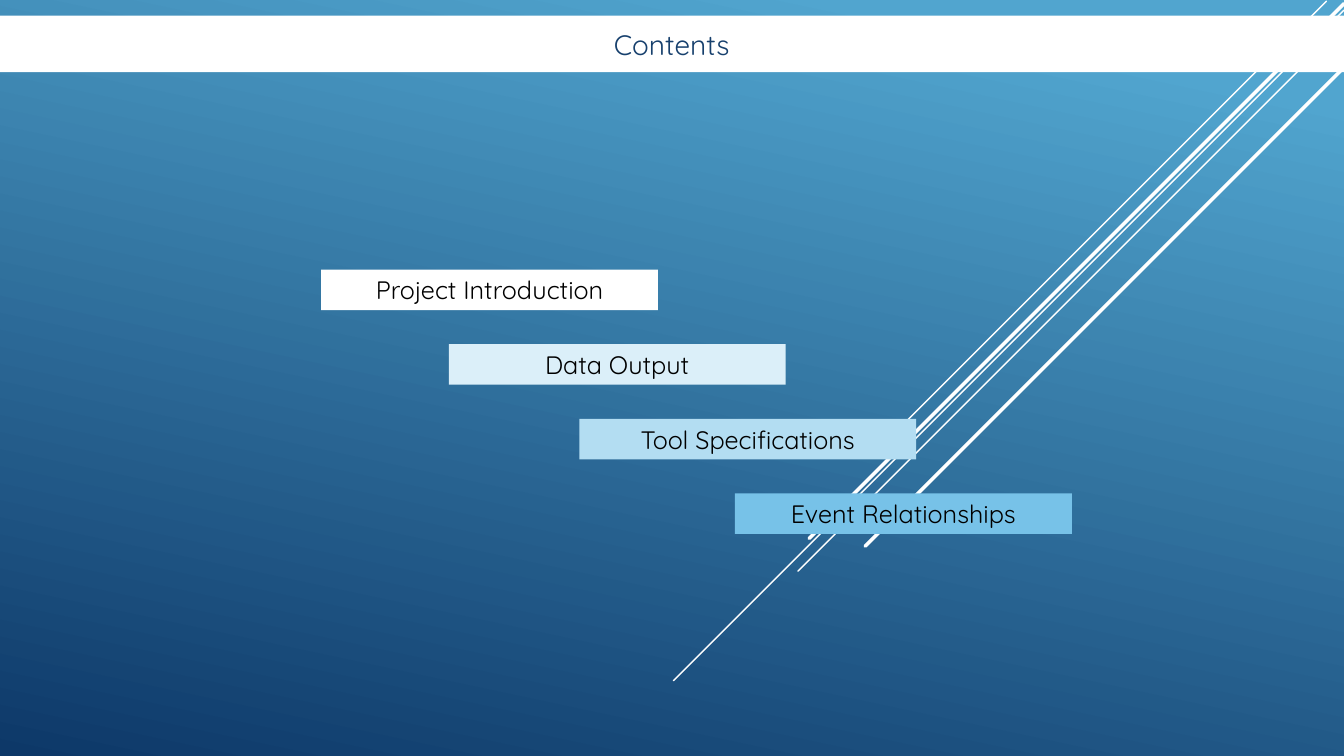
from lxml import etree
from pptx import Presentation
from pptx import util as u
from pptx.dml.color import RGBColor
from pptx.enum import shapes, text
from pptx.oxml.ns import qn

COLOURS = {
    "sky": "51A5CF", "navy": "0D3868", "white": "FFFFFF", "black": "000000",
    "heading": "17406D", "ice": "DBEFF9", "pale": "B3DDF2", "light": "77C2E8",
}
FRAME = {"word_wrap": True, "vertical_anchor": text.MSO_ANCHOR.MIDDLE,
         "margin_top": u.Pt(3.6), "margin_bottom": u.Pt(3.6)}
RAYS = [(947.5, 0.8, 300, 1), (960, 7.2, 479, 1), (960, 18, 390, 1),
        (960, 2.6, 382, 2.5), (960, 48.2, 342, 2.5)]
TOPICS = [("Project Introduction", 229.4, "white"), ("Data Output", 320.6, "ice"),
          ("Tool Specifications", 413.8, "pale"), ("Event Relationships", 525, "light")]
TOPIC_TOP, TOPIC_STEP = 192.5, 53.3
TOPIC_WIDTH, TOPIC_HEIGHT = 240.6, 29


def rgb(name):
    """Return the named colour."""
    return RGBColor.from_string(COLOURS[name])


def assign(target, values):
    """Set every attribute of target that values holds."""
    for name, value in values.items():
        setattr(target, name, value)


def paint_background(slide):
    """Fill the slide with the sky-to-navy gradient."""
    fill = slide.background.fill
    fill.gradient()
    fill.gradient_angle = 360 - 102
    for stop, position, colour in zip(fill.gradient_stops, (0.1, 1), ("sky", "navy")):
        stop.position = position
        stop.color.rgb = rgb(colour)


def add_ray(slide, x, y, reach, weight):
    """Draw a white diagonal running down to the left at 45 degrees."""
    ray = slide.shapes.add_connector(
        shapes.MSO_CONNECTOR.STRAIGHT, u.Pt(x), u.Pt(y), u.Pt(x - reach), u.Pt(y + reach))
    ray.line.width = u.Pt(weight)
    ray.line.color.rgb = rgb("white")
    properties = ray.line._get_or_add_ln()
    properties.set("cap", "rnd")
    etree.SubElement(properties.getparent(), qn("a:effectLst"))


def add_band(slide, left, top, width, height, colour):
    """Add a plain filled rectangle."""
    band = slide.shapes.add_shape(
        shapes.MSO_SHAPE.RECTANGLE, u.Pt(left), u.Pt(top), u.Pt(width), u.Pt(height))
    band.shadow.inherit = False
    band.fill.solid()
    band.fill.fore_color.rgb = rgb(colour)
    band.line.fill.background()
    return band


def write(holder, wording, size, colour):
    """Write one centred line into a shape or text box."""
    assign(holder.text_frame, FRAME)
    line = holder.text_frame.paragraphs[0]
    line.alignment = text.PP_ALIGN.CENTER
    run = line.add_run()
    run.text = wording
    assign(run.font, {"name": "Quicksand", "size": u.Pt(size)})
    run.font.color.rgb = rgb(colour)


def main():
    """Build the contents slide."""
    deck = Presentation()
    assign(deck, {"slide_width": u.Pt(960), "slide_height": u.Pt(540)})
    slide = deck.slides.add_slide(deck.slide_layouts[6])
    paint_background(slide)
    for ray in RAYS:
        add_ray(slide, *ray)
    add_band(slide, 0, 11.2, 960, 40.4, "white")
    heading = slide.shapes.add_textbox(u.Pt(316), u.Pt(15.8), u.Pt(327.6), u.Pt(31.6))
    write(heading, "Contents", 20, "heading")
    for row, (topic, left, colour) in enumerate(TOPICS):
        top = TOPIC_TOP + row * TOPIC_STEP
        band = add_band(slide, left, top, TOPIC_WIDTH, TOPIC_HEIGHT, colour)
        write(band, topic, 18, "black")
    deck.save("out.pptx")


main()
